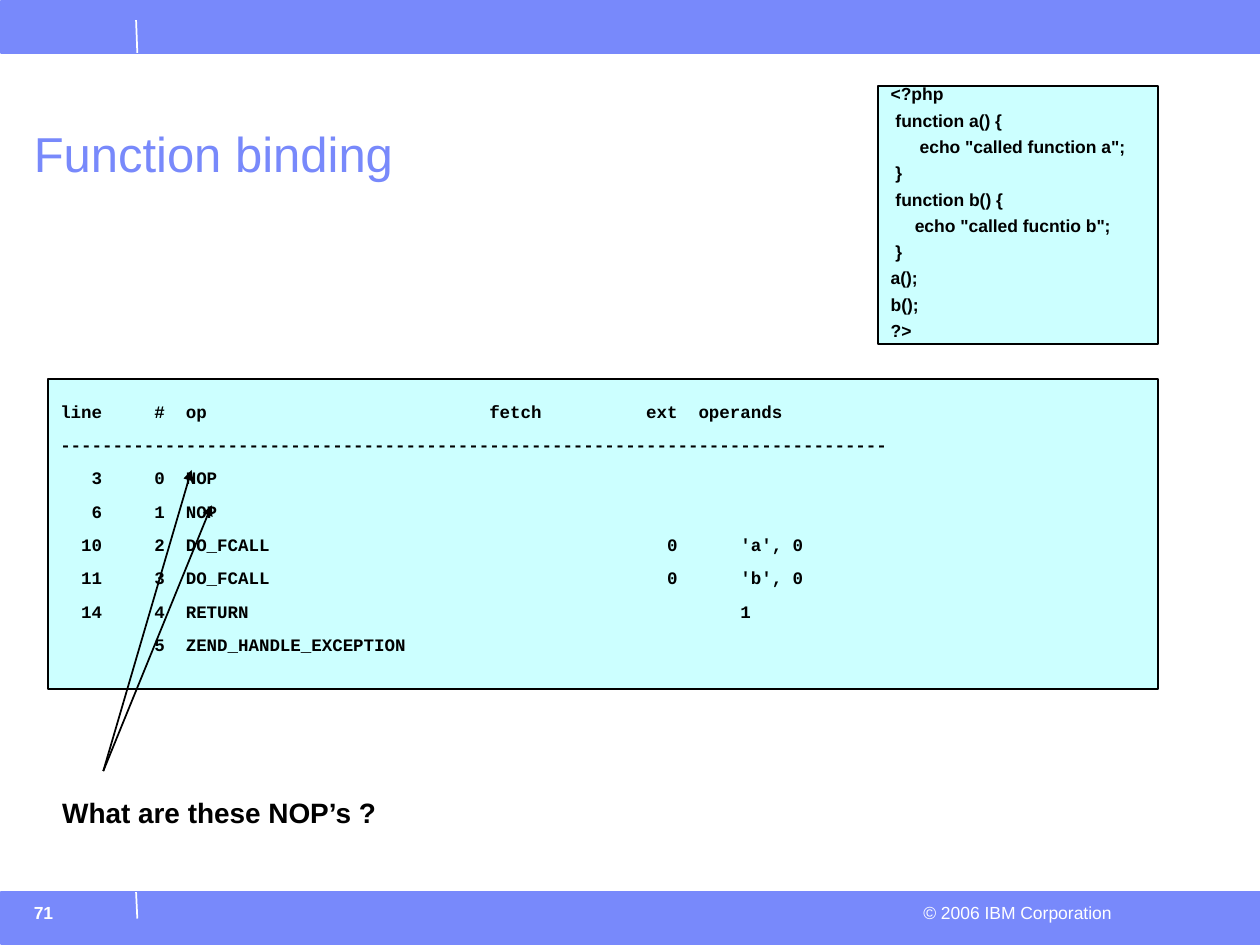
from lxml import etree
from pptx import Presentation
from pptx.dml.color import RGBColor
from pptx.enum.shapes import MSO_CONNECTOR, MSO_SHAPE
from pptx.enum.text import MSO_ANCHOR, PP_ALIGN
from pptx.oxml.ns import qn
from pptx.util import Inches, Pt

RECT = MSO_SHAPE.RECTANGLE
STRAIGHT = MSO_CONNECTOR.STRAIGHT
TOP, MIDDLE, BOTTOM = MSO_ANCHOR.TOP, MSO_ANCHOR.MIDDLE, MSO_ANCHOR.BOTTOM
LEFT, CENTER, RIGHT = PP_ALIGN.LEFT, PP_ALIGN.CENTER, PP_ALIGN.RIGHT

COLS, ROWS = 100, 75
BLUE, CYAN, WHITE, BLACK = "7889FB", "CCFFFF", "FFFFFF", "000000"

SOURCE = """<?php
 function a() {
      echo "called function a";
 }
 function b() {
     echo "called fucntio b";
 }
a();
b();
?>"""

OPCODES = f"""line     #  op                           fetch          ext  operands
{"-" * 79}
   3     0  NOP
   6     1  NOP
  10     2  DO_FCALL                                      0      'a', 0
  11     3  DO_FCALL                                      0      'b', 0
  14     4  RETURN                                               1
         5  ZEND_HANDLE_EXCEPTION"""


def grid(*cells):
    """Turn grid units, a tenth of an inch each, into lengths."""
    return [Inches(cell / 10) for cell in cells]


def rgb(value):
    """Turn a hex string into a colour."""
    return RGBColor.from_string(value)


def add_rect(s, box, fill, line):
    """Add a flat rectangle with a thin outline."""
    sp = s.shapes.add_shape(RECT, *grid(*box))
    sp.shadow.inherit = False
    sp.fill.solid()
    sp.fill.fore_color.rgb = rgb(fill)
    sp.line.color.rgb = rgb(line)
    sp.line.width = Pt(1)
    return sp


def add_line(s, start, end, color, arrow=False):
    """Add a straight line, with an arrowhead at its end if asked."""
    cx = s.shapes.add_connector(STRAIGHT, *grid(*start, *end))
    cx.line.color.rgb = rgb(color)
    cx.line.width = Pt(1)
    if arrow:
        ln = cx.line._get_or_add_ln()
        etree.SubElement(ln, qn("a:tailEnd"), type="triangle")
    etree.SubElement(cx._element.spPr, qn("a:effectLst"))


def write(sp, text, size, color, font="Arial", bold=False, align=LEFT,
          anchor=TOP, spacing=1.0, before=0, bottom=0.05, wrap=True):
    """Fill a shape with one paragraph for each line of text."""
    tf = sp.text_frame
    tf.word_wrap = wrap
    tf.vertical_anchor = anchor
    tf.margin_left = tf.margin_right = Inches(0.1)
    tf.margin_top, tf.margin_bottom = Inches(0.05), Inches(bottom)
    for i, line in enumerate(text.split("\n")):
        p = tf.paragraphs[0] if i == 0 else tf.add_paragraph()
        p.text = line
        p.alignment = align
        p.line_spacing = spacing
        p.space_before = Pt(before if i else 0)
        p.font.name, p.font.size, p.font.bold = font, Pt(size), bold
        p.font.color.rgb = rgb(color)


def add_text(s, box, text, size, color, **style):
    """Add a text box."""
    write(s.shapes.add_textbox(*grid(*box)), text, size, color, **style)


def add_band(s, box, tick):
    """Add a full-width band with a short white divider."""
    add_rect(s, box, BLUE, BLUE)
    add_line(s, (10.8, tick[0]), (10.9, tick[1]), WHITE)


def add_footer(s, box):
    """Add the bottom band with page number and copyright line."""
    left, top, width, height = box
    add_band(s, box, (top, top + 2.1))
    add_text(s, (left + 1.6, top + 0.3, 11, 3.5), "71", 10, WHITE, bold=True)
    add_text(s, (left + width - 27.8, top + 0.3, 17, 2.6),
             "© 2006 IBM Corporation", 10, WHITE, align=RIGHT, wrap=False)


def add_listing(s, box, text, **style):
    """Add a bordered panel of code."""
    write(add_rect(s, box, CYAN, BLACK), text, 10, BLACK, bold=True,
          anchor=MIDDLE, **style)


def add_question(s, box, targets):
    """Add the question and its arrows to the opcodes in doubt."""
    left, top, _, _ = box
    for target in targets:
        add_line(s, (left + 4.3, top + 2.7), target, BLACK, arrow=True)
    add_text(s, box, "What are these NOP’s ?", 16, BLACK, bold=True,
             align=CENTER, anchor=BOTTOM, bottom=0.01)


def main():
    """Build and save the slide."""
    prs = Presentation()
    prs.slide_width, prs.slide_height = grid(COLS, ROWS)
    s = prs.slides.add_slide(prs.slide_layouts[6])
    add_band(s, (0.1, 0.1, COLS - 0.1, 4.1), (1.6, 4.2))
    add_footer(s, (0.1, 70.8, COLS - 0.1, 4.1))
    add_text(s, (1.7, 8.2, 90.2, 6.8), "Function binding", 28, BLUE,
             anchor=BOTTOM, spacing=0.9)
    add_listing(s, (69.7, 6.8, 22.2, 20.5), SOURCE, spacing=0.7, before=6.6)
    add_listing(s, (3.8, 30.1, 88.1, 24.6), OPCODES, font="Courier New",
                before=7, bottom=0.15)
    add_question(s, (3.9, 58.5, 27, 7.4), [(15.2, 37.3), (16.8, 40.1)])
    prs.save("out.pptx")


if __name__ == "__main__":
    main()
